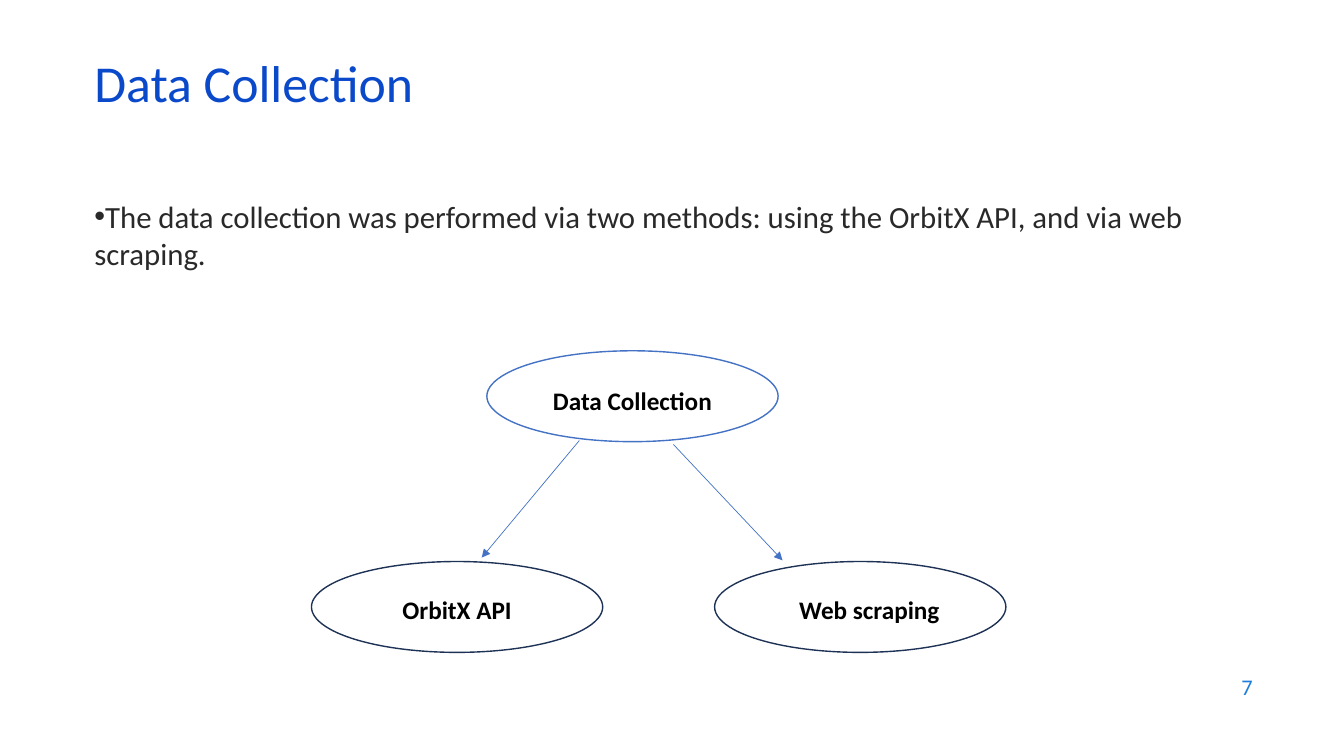
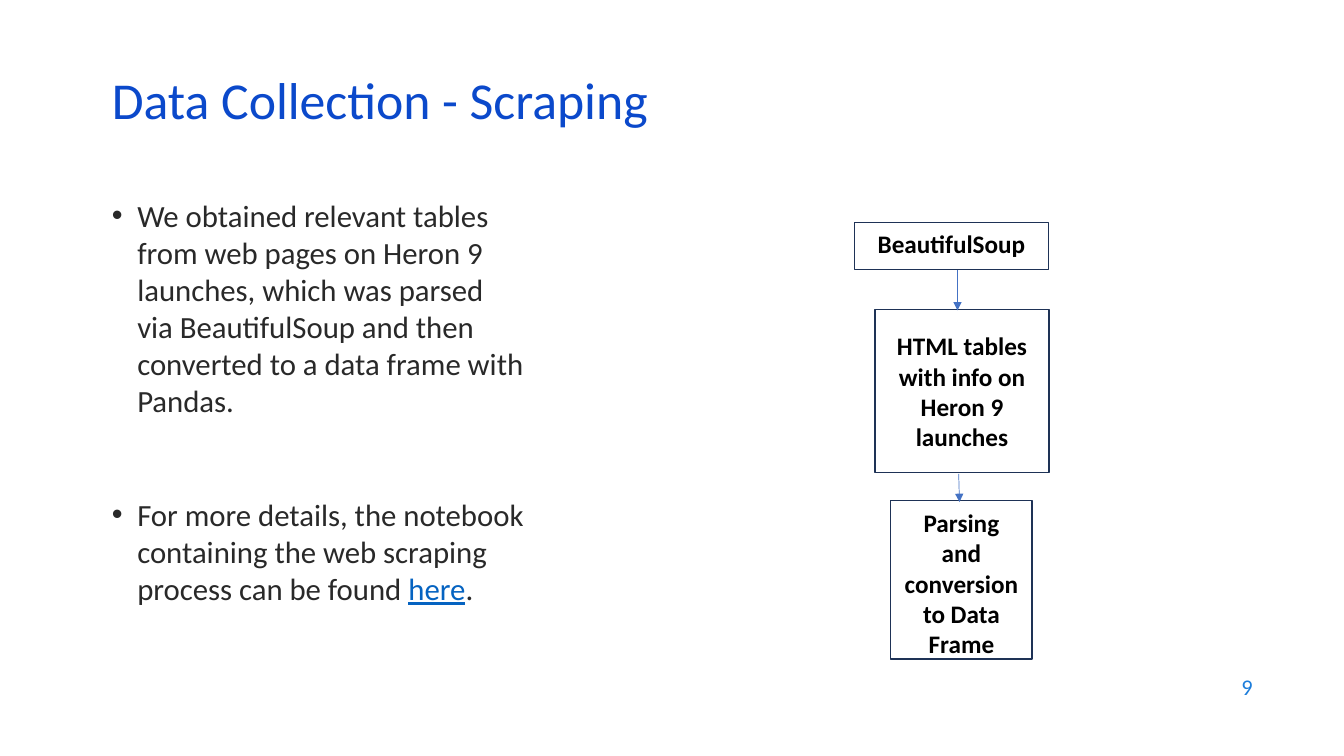
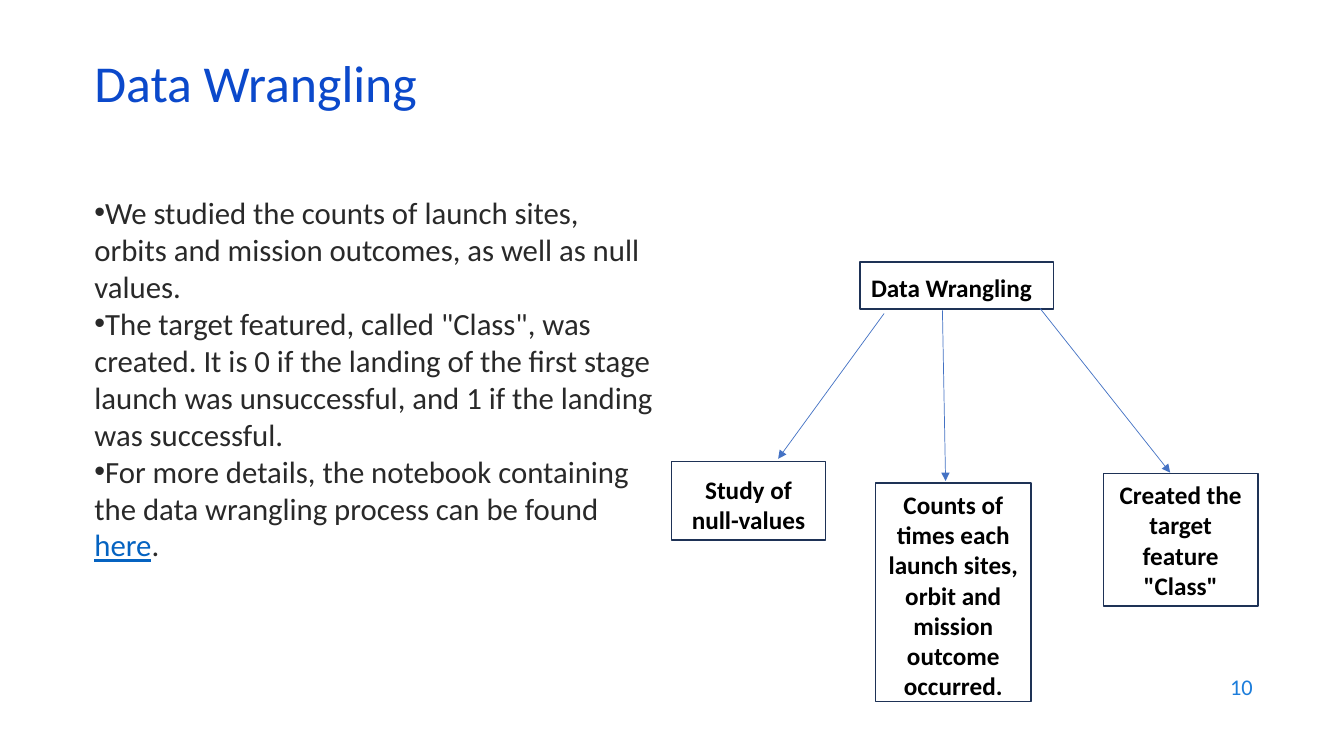
import dataclasses

import lxml.etree
import pptx
import pptx.dml.color
import pptx.enum.shapes
import pptx.enum.text
import pptx.oxml.ns
import pptx.util

Cm = pptx.util.Cm
Pt = pptx.util.Pt
Kind = pptx.enum.shapes.MSO_SHAPE
Side = pptx.enum.text.PP_ALIGN
Hold = pptx.enum.text.MSO_ANCHOR
qn = pptx.oxml.ns.qn


@dataclasses.dataclass(frozen=True)
class Theme:
    face: str = "Calibri"
    title: str = "0B49CB"
    body: str = "292929"
    link: str = "0563C1"
    page: str = "1C7DDB"
    blue: str = "4472C4"
    navy: str = "1E3256"
    black: str = "000000"
    white: str = "FFFFFF"
    big: int = 37
    text: int = 22
    label: int = 18
    small: int = 16


class Deck:
    """Hold the style and the current slide, and draw each kind of element."""

    def __init__(self, theme):
        self.theme = theme
        self.show = pptx.Presentation()
        self.put(self.show, slide_width=Cm(33.87), slide_height=Cm(19.05))

    def put(self, item, **values):
        for name, value in values.items():
            setattr(item, name, value)

    def color(self, code):
        return pptx.dml.color.RGBColor.from_string(code)

    def say(self, para, text, size, code, **style):
        run = para.add_run()
        run.text = text
        self.put(run.font, name=self.theme.face, size=Pt(size), **style)
        run.font.color.rgb = self.color(code)

    def place(self, item, left, top, width, height, anchor):
        self.put(item, left=Cm(left), top=Cm(top), width=Cm(width), height=Cm(height))
        self.put(item.text_frame, word_wrap=True, vertical_anchor=anchor,
                 auto_size=pptx.enum.text.MSO_AUTO_SIZE.NONE,
                 margin_left=Cm(0.25), margin_right=Cm(0.25),
                 margin_top=Cm(0.13), margin_bottom=Cm(0.13))
        return item.text_frame.paragraphs[0]

    def start(self, title, page, left=2.13, top=1.5):
        self.slide = self.show.slides.add_slide(self.show.slide_layouts[1])
        para = self.place(self.slide.shapes.title, left, top, 29.21, 1.52, Hold.MIDDLE)
        self.put(para, alignment=Side.LEFT, line_spacing=0.7)
        self.say(para, title, self.theme.big, self.theme.title)
        box = self.slide.shapes.add_textbox(0, 0, 0, 0)
        para = self.place(box, 24.2, 16.74, 7.62, 1.12, Hold.MIDDLE)
        para.alignment = Side.RIGHT
        self.say(para, str(page), self.theme.small, self.theme.page)

    def points(self, spot, items, hang=0, gap=0):
        body = self.slide.placeholders[1]
        para = self.place(body, *spot, Hold.TOP)
        for index, item in enumerate(items):
            if index:
                para = body.text_frame.add_paragraph()
            self.put(para, alignment=Side.LEFT, line_spacing=1.0,
                     space_before=Pt(gap if index else 0))
            prop = para._p.get_or_add_pPr()
            prop.set("marL", str(Cm(hang)))
            prop.set("indent", str(-Cm(hang)))
            lxml.etree.SubElement(prop, qn("a:buChar")).set("char", "•")
            lead, link, tail = item.partition("here")
            self.say(para, lead, self.theme.text, self.theme.body)
            if link:
                self.say(para, link, self.theme.text, self.theme.link, underline=True)
                self.say(para, tail, self.theme.text, self.theme.body)

    def node(self, text, spot, kind=Kind.RECTANGLE, edge=None, shift=(0, 0)):
        shape = self.slide.shapes.add_shape(kind, 0, 0, 0, 0)
        shape.shadow.inherit = False
        shape.fill.solid()
        shape.fill.fore_color.rgb = self.color(self.theme.white)
        shape.line.color.rgb = self.color(edge or self.theme.navy)
        shape.line.width = Pt(1)
        para = self.place(shape, *spot, Hold.MIDDLE)
        right, down = shift
        self.put(shape.text_frame,
                 margin_left=Cm(0.28 + right), margin_right=Cm(0.28 - right),
                 margin_top=Cm(down), margin_bottom=Cm(-down))
        para.alignment = Side.CENTER
        self.say(para, text, self.theme.label, self.theme.black, bold=True)

    def arrow(self, *ends):
        line = self.slide.shapes.add_connector(
            pptx.enum.shapes.MSO_CONNECTOR.STRAIGHT, *map(Cm, ends))
        line.line.color.rgb = self.color(self.theme.blue)
        line.line.width = Pt(0.5)
        edge = line.line._get_or_add_ln()
        lxml.etree.SubElement(edge, qn("a:tailEnd")).set("type", "triangle")
        lxml.etree.SubElement(line._element.spPr, qn("a:effectLst"))


def collect(deck):
    deck.start("Data Collection", 7)
    deck.points((2.13, 4.85, 29.21, 3.12), [
        "The data collection was performed via two methods: "
        "using the OrbitX API, and via web scraping."])
    for text, left, top, edge, shift in (
            ("Data Collection", 12.27, 8.84, deck.theme.blue, (0, 0.1)),
            ("OrbitX API", 7.85, 14.15, deck.theme.navy, (0, 0.05)),
            ("Web scraping", 18.01, 14.15, deck.theme.navy, (0.23, 0.05))):
        deck.node(text, (left, top, 7.34, 2.29), Kind.OVAL, edge, shift)
    deck.arrow(16.97, 11.2, 19.72, 14.12)
    deck.arrow(14.6, 11.1, 12.14, 14.05)


def scrape(deck):
    deck.start("Data Collection - Scraping", 9, 2.57, 1.93)
    deck.points((2.57, 4.83, 10.92, 13.08), [
        "We obtained relevant tables from web pages on Heron 9 launches, "
        "which was parsed via BeautifulSoup and then converted to a data "
        "frame with Pandas.",
        "For more details, the notebook containing the web scraping "
        "process can be found here."], hang=0.64, gap=55)
    deck.node("BeautifulSoup", (21.54, 5.61, 4.88, 1.19), shift=(0, -0.06))
    deck.node("HTML tables with info on Heron 9 launches", (22.05, 7.8, 4.39, 4.11))
    deck.node("Parsing and conversion to Data Frame", (22.45, 12.62, 3.56, 3.99),
              shift=(0, 0.08))
    deck.arrow(24.13, 6.81, 24.13, 7.82)
    deck.arrow(24.16, 11.94, 24.18, 12.65)


def wrangle(deck):
    deck.start("Data Wrangling", 10)
    deck.points((2.13, 4.75, 14.63, 12.57), [
        "We studied the counts of launch sites, orbits and mission "
        "outcomes, as well as null values.",
        "The target featured, called \"Class\", was created. It is 0 if the "
        "landing of the first stage launch was unsuccessful, and 1 if the "
        "landing was successful.",
        "For more details, the notebook containing the data wrangling "
        "process can be found here."])
    deck.node("Data Wrangling", (21.67, 6.6, 4.88, 1.19), shift=(-0.13, 0.05))
    deck.node("Study of null-values", (16.92, 11.63, 3.89, 1.98), shift=(0, 0.1))
    deck.node("Counts of times each launch sites, orbit and mission outcome occurred.",
              (22.07, 12.17, 3.91, 5.51), shift=(0, 0.07))
    deck.node("Created the target feature \"Class\"", (27.81, 11.94, 3.89, 3.33))
    deck.arrow(22.28, 7.9, 19.61, 11.56)
    deck.arrow(26.21, 7.77, 29.49, 11.91)
    deck.arrow(23.75, 7.82, 23.83, 12.12)


def main():
    deck = Deck(Theme())
    for build in (collect, scrape, wrangle):
        build(deck)
    deck.show.save("out.pptx")


if __name__ == "__main__":
    main()
